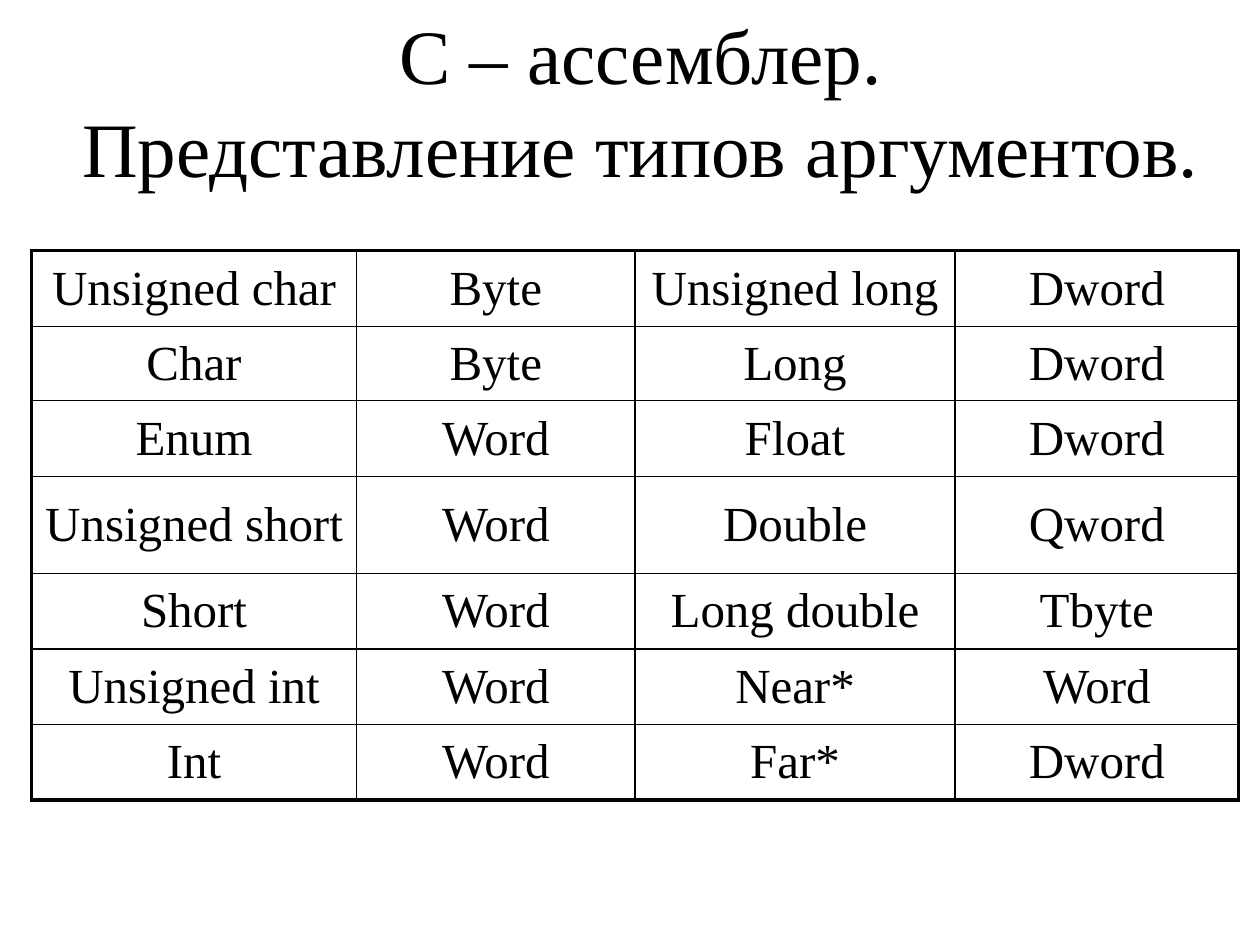
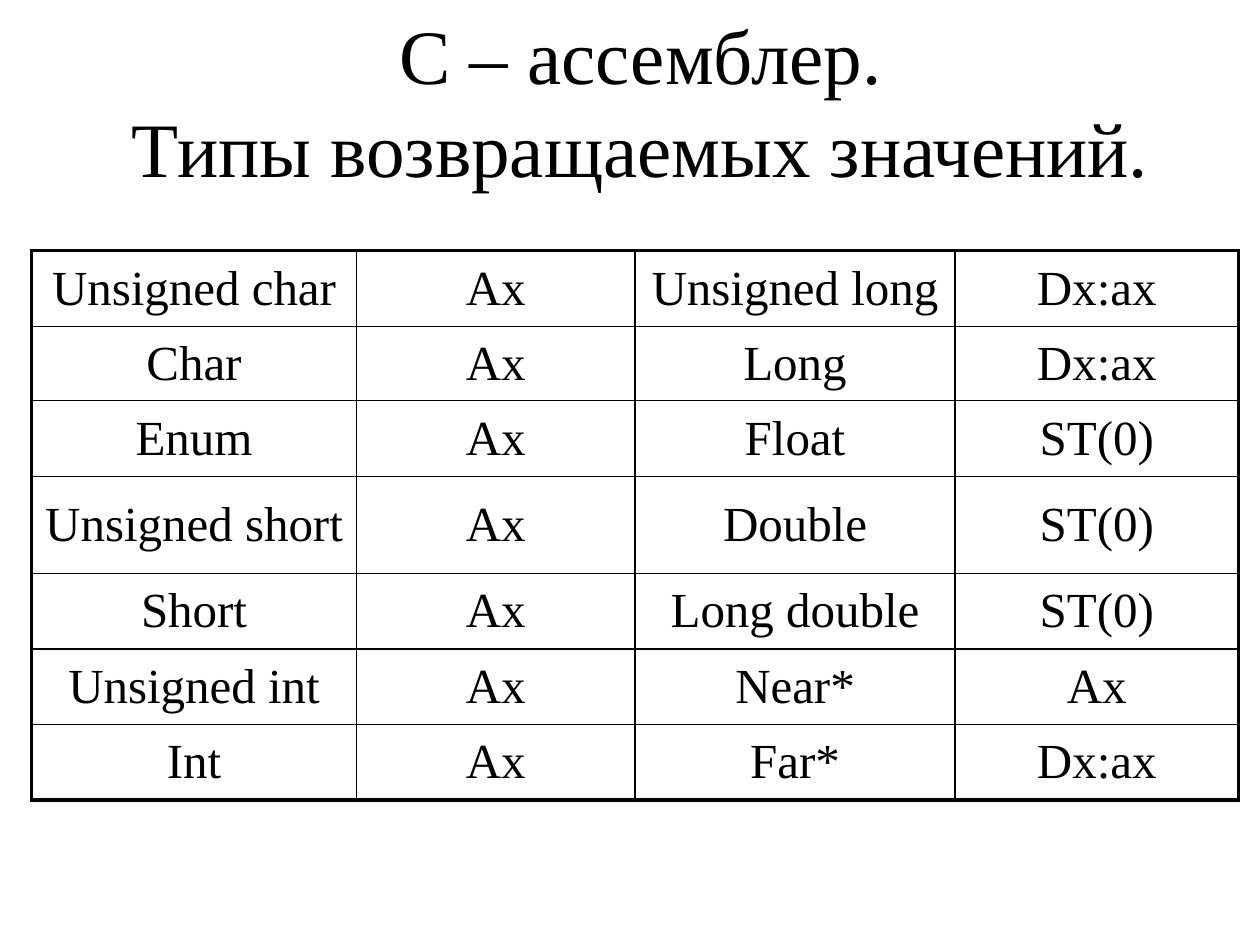
from lxml.etree import SubElement
from pptx import Presentation
from pptx.dml.color import RGBColor
from pptx.enum.text import MSO_ANCHOR as Anchor, MSO_AUTO_SIZE as AutoSize, PP_ALIGN as Align
from pptx.oxml.ns import qn
from pptx.util import Inches, Pt

# Shared look
COLORS = {"ink": "000000", "paper": "FFFFFF"}
FONT = "Times New Roman"
TITLE_SIZE, CELL_SIZE = 44, 28
OUTER_LINE, INNER_LINE = 2.25, 1

# Shared grid, in inches
SLIDE_SIZE = (10, 7.5)
TITLE_BOX = (0.42, 0.17, 9.33, 1.25)
TABLE_CORNER = (0.25, 1.99)
COLUMN_WIDTHS = (2.58, 2.21, 2.54, 2.25)
ROW_HEIGHTS = (0.6, 0.59, 0.6, 0.77, 0.6, 0.6, 0.6)
CELL_MARGIN = 0.09

# Content: each C type is paired with its assembler counterpart
TOPIC = "C – ассемблер."
LEFT_TYPES = ("Unsigned char", "Char", "Enum", "Unsigned short",
              "Short", "Unsigned int", "Int")
RIGHT_TYPES = ("Unsigned long", "Long", "Float", "Double",
               "Long double", "Near*", "Far*")
SLIDES = (
    ("Представление типов аргументов.",
     ["Byte"] * 2 + ["Word"] * 5,
     ["Dword"] * 3 + ["Qword", "Tbyte", "Word", "Dword"]),
    ("Типы возвращаемых значений.",
     ["Ax"] * 7,
     ["Dx:ax"] * 2 + ["ST(0)"] * 3 + ["Ax", "Dx:ax"]),
)


def add_span(para, text, size):
    span = para.add_run()
    span.text = text
    span.font.name = FONT
    span.font.size = Pt(size)
    span.font.color.rgb = RGBColor.from_string(COLORS["ink"])


def set_title(slide, subject):
    box = slide.shapes.title
    box.left, box.top, box.width, box.height = map(Inches, TITLE_BOX)
    frame = box.text_frame
    frame.word_wrap = True
    frame.auto_size = AutoSize.NONE
    frame.vertical_anchor = Anchor.MIDDLE
    para = frame.paragraphs[0]
    para.alignment = Align.CENTER
    add_span(para, TOPIC, TITLE_SIZE)
    para.add_line_break()
    add_span(para, subject, TITLE_SIZE)


def set_borders(cell, widths):
    """Draw the cell's edges; widths maps L, R, T, B to points, in that order."""
    properties = cell._tc.get_or_add_tcPr()
    for position, (side, width) in enumerate(widths.items()):
        line = SubElement(properties, qn(f"a:ln{side}"), w=str(Pt(width)))
        fill = SubElement(line, qn("a:solidFill"))
        SubElement(fill, qn("a:srgbClr"), val=COLORS["ink"])
        properties.insert(position, line)  # edges precede the fill


def fill_cell(cell, text, widths):
    cell.fill.background()
    set_borders(cell, widths)
    cell.vertical_anchor = Anchor.MIDDLE
    cell.margin_left = cell.margin_right = Inches(CELL_MARGIN)
    para = cell.text_frame.paragraphs[0]
    para.alignment = Align.CENTER
    add_span(para, text, CELL_SIZE)


def add_type_table(slide, rows):
    last_row, last_column = len(ROW_HEIGHTS) - 1, len(COLUMN_WIDTHS) - 1
    size = (sum(COLUMN_WIDTHS), sum(ROW_HEIGHTS))
    table = slide.shapes.add_table(
        last_row + 1, last_column + 1, *map(Inches, TABLE_CORNER + size)).table
    table.first_row = table.horz_banding = False
    for column, width in zip(table.columns, COLUMN_WIDTHS):
        column.width = Inches(width)
    for row, height in zip(table.rows, ROW_HEIGHTS):
        row.height = Inches(height)
    for r, texts in enumerate(rows):
        for c, text in enumerate(texts):
            on_rim = {"L": c == 0, "R": c == last_column,
                      "T": r == 0, "B": r == last_row}
            widths = {side: OUTER_LINE if outer else INNER_LINE
                      for side, outer in on_rim.items()}
            fill_cell(table.cell(r, c), text, widths)


def main():
    deck = Presentation()
    deck.slide_width, deck.slide_height = map(Inches, SLIDE_SIZE)
    background = deck.slide_master.background.fill
    background.solid()
    background.fore_color.rgb = RGBColor.from_string(COLORS["paper"])
    title_only = deck.slide_layouts[5]
    for subject, left_values, right_values in SLIDES:
        slide = deck.slides.add_slide(title_only)
        set_title(slide, subject)
        add_type_table(slide, zip(LEFT_TYPES, left_values, RIGHT_TYPES, right_values))
    deck.save("out.pptx")


if __name__ == "__main__":
    main()
